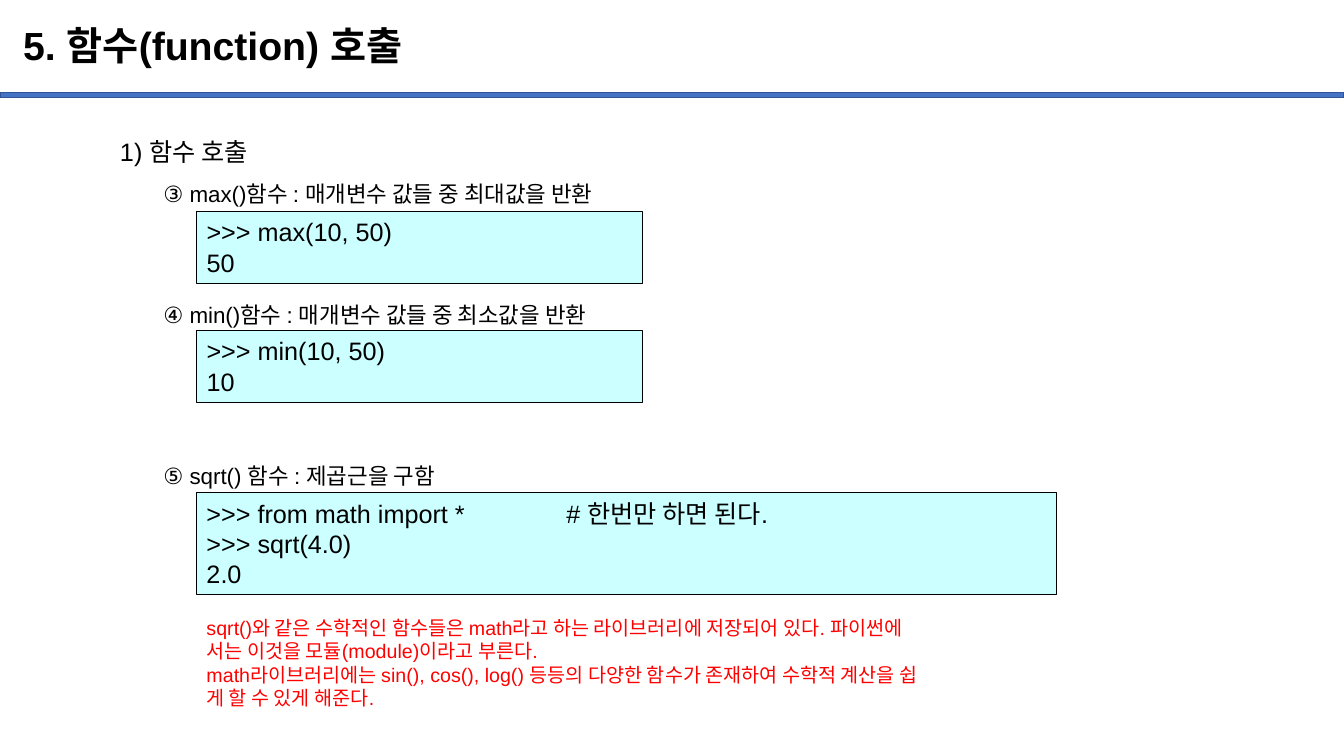
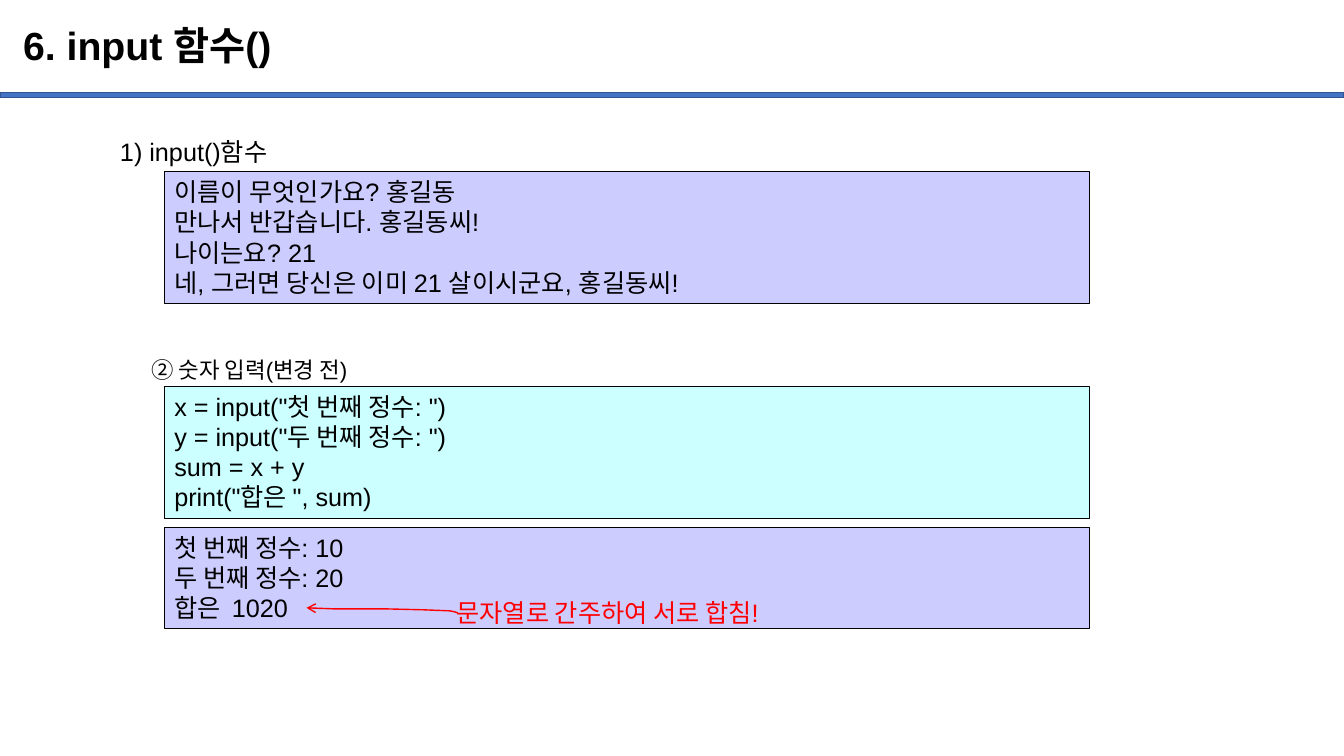
from lxml import etree
from pptx import Presentation
from pptx.dml.color import RGBColor
from pptx.enum import shapes, text
from pptx.oxml import ns
from pptx.util import Pt

PX = 9144
FONT = "Arial"
BLACK = RGBColor(0x00, 0x00, 0x00)
RED = RGBColor(0xFF, 0x00, 0x00)
BLUE = RGBColor(0x44, 0x72, 0xC4)
NAVY = RGBColor(0x32, 0x54, 0x91)
CYAN = RGBColor(0xCC, 0xFF, 0xFF)
LILAC = RGBColor(0xCC, 0xCC, 0xFF)

PAGES = [
    {
        "title": "5. 함수(function) 호출",
        "heads": [
            ("1) 함수 호출", 18, 0, 0),
            ("③ max()함수 : 매개변수 값들 중 최대값을 반환", 16, 43, 0),
            ("④ min()함수 : 매개변수 값들 중 최소값을 반환", 16, 43, 57.6),
            ("⑤ sqrt() 함수 : 제곱근을 구함", 16, 43, 86.4),
        ],
        "boxes": [
            ((195, 210, 442, 71), CYAN, BLACK, 18, [">>> max(10, 50)", "50"]),
            ((195, 328, 442, 71), CYAN, BLACK, 18, [">>> min(10, 50)", "10"]),
            ((195, 489, 853, 101), CYAN, BLACK, 18, [
                ">>> from math import *\t\t # 한번만 하면 된다.",
                ">>> sqrt(4.0)",
                "2.0",
            ]),
            ((195, 606, 793, 104), None, RED, 14, [
                "sqrt()와 같은 수학적인 함수들은 math라고 하는 라이브러리에 저장되어 있다. 파이썬에",
                "서는 이것을 모듈(module)이라고 부른다.",
                "math라이브러리에는 sin(), cos(), log() 등등의 다양한 함수가 존재하여 수학적 계산을 쉽",
                "게 할 수 있게 해준다.",
            ]),
        ],
    },
    {
        "title": "6. input 함수()",
        "heads": [
            ("1) input()함수", 18, 0, 0),
            ("② 숫자 입력(변경 전)", 16, 31, 126),
        ],
        "boxes": [
            ((163, 170, 918, 131), LILAC, BLACK, 18, [
                "이름이 무엇인가요? 홍길동",
                "만나서 반갑습니다. 홍길동씨!",
                "나이는요? 21",
                "네, 그러면 당신은 이미 21 살이시군요, 홍길동씨!",
            ]),
            ((163, 383, 918, 131), CYAN, BLACK, 18, [
                'x = input("첫 번째 정수: ")',
                'y = input("두 번째 정수: ")',
                "sum = x + y",
                'print("합은 ", sum)',
            ]),
            ((163, 523, 918, 101), LILAC, BLACK, 18, [
                "첫 번째 정수: 10",
                "두 번째 정수: 20",
                "합은  1020",
            ]),
            ((443, 588, 460, 40), None, RED, 18, ["문자열로 간주하여 서로 합침!"]),
        ],
    },
]


def place(shape, *spot):
    shape.left, shape.top, shape.width, shape.height = [n * PX for n in spot]


def style(para, line, size, color, lead):
    para.text = line
    para.alignment = text.PP_ALIGN.LEFT
    para.line_spacing = lead
    para.space_before = Pt(0)
    para.font.name = FONT
    para.font.size = Pt(size)
    para.font.color.rgb = color


deck = Presentation()
deck.slide_width, deck.slide_height = 1333 * PX, 750 * PX
layout = deck.slide_layouts[1]
place(layout.placeholders[0], 13, 10, 1150, 74)
place(layout.placeholders[1], 109, 115, 1172, 373)

for page in PAGES:
    slide = deck.slides.add_slide(layout)
    title, body = slide.placeholders
    frame = title.text_frame
    frame.auto_size = text.MSO_AUTO_SIZE.NONE
    frame.vertical_anchor = text.MSO_ANCHOR.MIDDLE
    style(frame.paragraphs[0], page["title"], 28, BLACK, 0.9)
    frame.paragraphs[0].font.bold = True

    frame = body.text_frame
    frame.auto_size = text.MSO_AUTO_SIZE.NONE
    for i, (line, size, indent, gap) in enumerate(page["heads"]):
        para = frame.add_paragraph() if i else frame.paragraphs[0]
        style(para, line, size, BLACK, Pt(size * 1.8))
        para.space_before = Pt(gap)
        prop = para._p.get_or_add_pPr()
        prop.set("marL", str(indent * PX))
        prop.set("indent", "0")
        prop.insert_element_before(
            prop.makeelement(ns.qn("a:buNone")), "a:tabLst", "a:defRPr")

    for spot, fill, color, size, lines in page["boxes"]:
        box = slide.shapes.add_textbox(*[n * PX for n in spot])
        if fill:
            box.fill.solid()
            box.fill.fore_color.rgb = fill
            box.line.color.rgb = BLACK
            box.line.width = Pt(0.75)
        frame = box.text_frame
        frame.word_wrap = True
        for i, line in enumerate(lines):
            para = frame.add_paragraph() if i else frame.paragraphs[0]
            style(para, line, size, color, Pt(size * 1.2))
            if "\t" in line:
                prop = para._p.get_or_add_pPr()
                tabs = prop.makeelement(ns.qn("a:tabLst"))
                for stop in (300, 350):
                    etree.SubElement(tabs, ns.qn("a:tab"), pos=str(stop * PX), algn="l")
                prop.insert_element_before(tabs, "a:defRPr")

path = slide.shapes.build_freeform(454, 608, scale=PX)
path.add_line_segments(
    [(451, 607), (446, 606), (420, 605), (380, 604), (330, 604), (304, 603)], close=False)
arrow = path.convert_to_shape()
arrow.shadow.inherit = False
arrow.fill.background()
arrow.line.color.rgb = RED
arrow.line.width = Pt(1)
etree.SubElement(arrow.line._get_or_add_ln(), ns.qn("a:tailEnd"), type="arrow")

band = slide.shapes.add_shape(
    shapes.MSO_SHAPE.RECTANGLE, 0, 92 * PX, deck.slide_width, 5 * PX)
band.shadow.inherit = False
band.fill.solid()
band.fill.fore_color.rgb = BLUE
band.line.color.rgb = NAVY
band.line.width = Pt(1)
layout.shapes._spTree.append(band._element)

deck.save("out.pptx")
